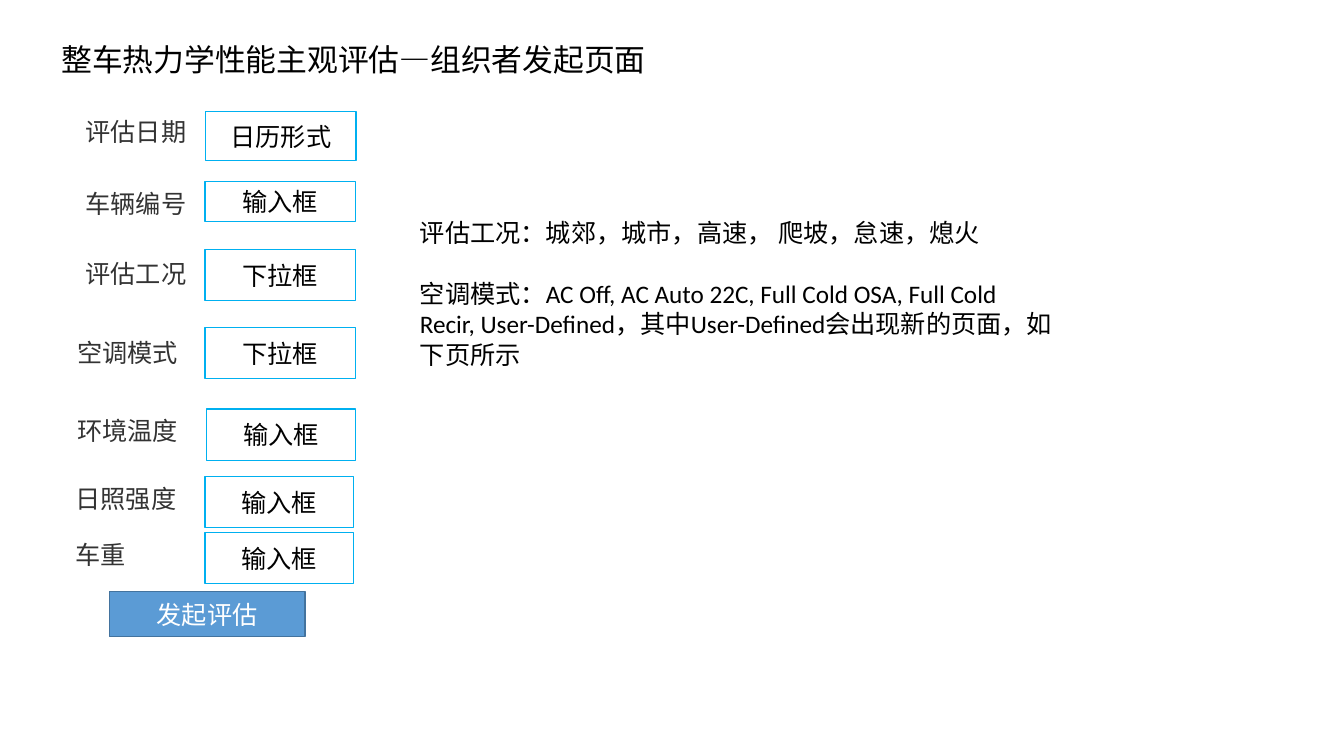
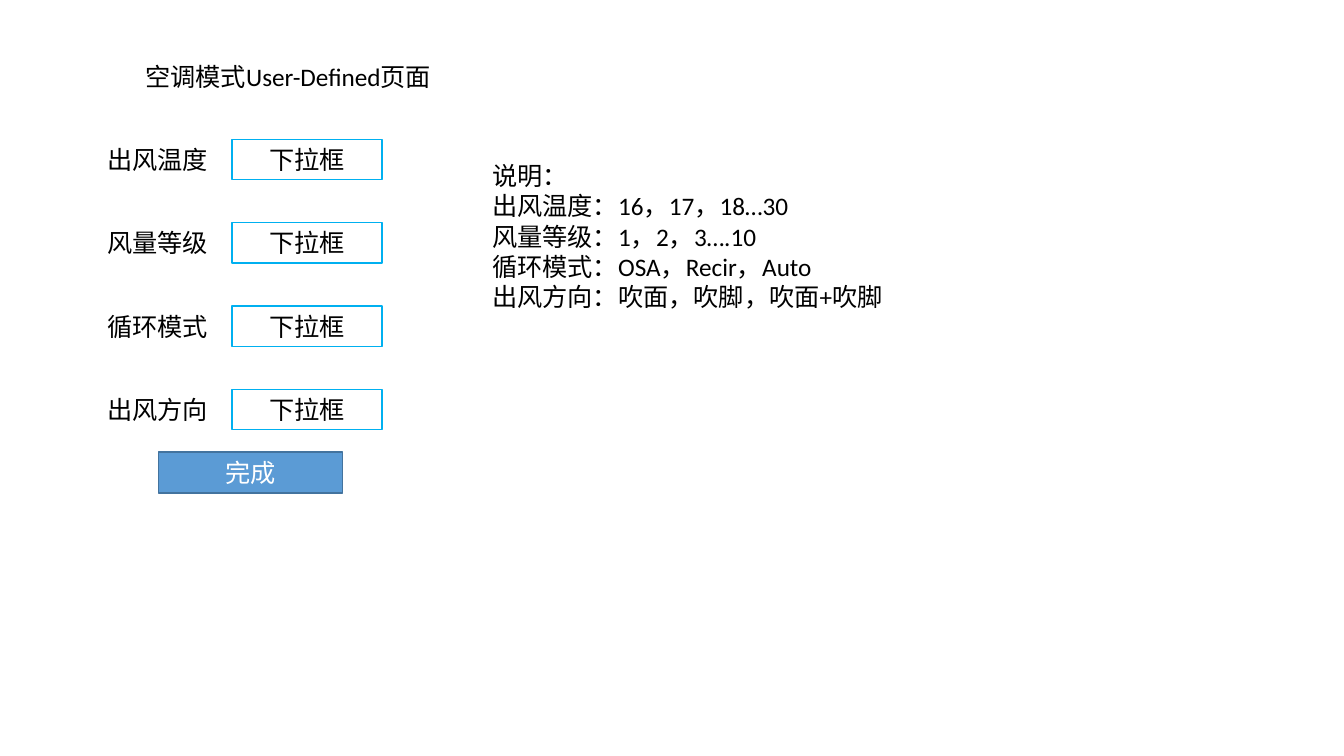
from pptx import Presentation
from pptx.dml.color import RGBColor
from pptx.enum.shapes import MSO_SHAPE
from pptx.enum.text import MSO_ANCHOR, MSO_AUTO_SIZE, PP_ALIGN
from pptx.util import Inches, Pt

RECTANGLE = MSO_SHAPE.RECTANGLE
TOP, MIDDLE = MSO_ANCHOR.TOP, MSO_ANCHOR.MIDDLE
LEFT, CENTER = PP_ALIGN.LEFT, PP_ALIGN.CENTER
NO_AUTOFIT = MSO_AUTO_SIZE.NONE

BLACK = RGBColor(0x00, 0x00, 0x00)
WHITE = RGBColor(0xFF, 0xFF, 0xFF)
GRAY = RGBColor(0x33, 0x33, 0x33)
CYAN = RGBColor(0x00, 0xB0, 0xF0)
BLUE = RGBColor(0x5B, 0x9B, 0xD5)
DARK_BLUE = RGBColor(0x43, 0x73, 0x9E)

BODY_FONT = "Calibri"
FORM_FONT = "Roboto"
BODY_SIZE = 18
COLUMNS, ROWS = 160, 90
TITLE_ONLY = 5
LABEL_HEIGHT = 4.8


class FormDeck:
    def __init__(self):
        self.presentation = Presentation()
        self.presentation.slide_width = Inches(13.33)
        self.presentation.slide_height = Inches(7.5)
        self.slide = None

    def area(self, left, top, width, height):
        column = self.presentation.slide_width / COLUMNS
        row = self.presentation.slide_height / ROWS
        return (round(left * column), round(top * row),
                round(width * column), round(height * row))

    def set_text(self, shape, lines, color=BLACK, font=BODY_FONT, size=BODY_SIZE,
                 align=LEFT, anchor=TOP, wrap=True, gap=0):
        frame = shape.text_frame
        frame.auto_size = NO_AUTOFIT
        frame.word_wrap = wrap
        frame.vertical_anchor = anchor
        for index, line in enumerate(lines):
            paragraph = frame.add_paragraph() if index else frame.paragraphs[0]
            paragraph.alignment = align
            paragraph.space_before = Pt(gap if index else 0)
            run = paragraph.add_run()
            run.text = line
            run.font.name = font
            run.font.size = Pt(size)
            run.font.color.rgb = color

    def start_slide(self, title, area, size=BODY_SIZE):
        layout = self.presentation.slide_layouts[TITLE_ONLY]
        self.slide = self.presentation.slides.add_slide(layout)
        shape = self.slide.shapes.title
        shape.left, shape.top, shape.width, shape.height = self.area(*area)
        self.set_text(shape, [title], size=size)

    def text(self, lines, area, **style):
        self.set_text(self.slide.shapes.add_textbox(*self.area(*area)), lines, **style)

    def label(self, text, left, top, **style):
        width = 2.4 + 3 * len(text)
        self.text([text], (left, top, width, LABEL_HEIGHT), wrap=False, **style)

    def box(self, text, area, line=CYAN, fill=None, color=BLACK):
        shape = self.slide.shapes.add_shape(RECTANGLE, *self.area(*area))
        shape.shadow.inherit = False
        if fill is None:
            shape.fill.background()
        else:
            shape.fill.solid()
            shape.fill.fore_color.rgb = fill
        shape.line.color.rgb = line
        shape.line.width = Pt(1)
        self.set_text(shape, [text], color=color, align=CENTER, anchor=MIDDLE)

    def button(self, text, area):
        self.box(text, area, line=DARK_BLUE, fill=BLUE, color=WHITE)


def build_organizer_slide(deck):
    deck.start_slide("整车热力学性能主观评估—组织者发起页面", (6.1, 4.3, 74, 5.6), size=22)
    fields = [
        ("评估日期", 9, 13.3, "日历形式", (24.5, 13.3, 17.9, 5.8)),
        ("车辆编号", 9, 21.8, "输入框", (24.4, 21.6, 17.9, 4.8)),
        ("评估工况", 9, 30.2, "下拉框", (24.4, 29.7, 17.9, 6.1)),
        ("空调模式", 8, 39.6, "下拉框", (24.4, 39, 17.9, 6.1)),
        ("环境温度", 8, 48.9, "输入框", (24.6, 48.7, 17.7, 6.1)),
        ("日照强度", 7.8, 56.9, "输入框", (24.4, 56.7, 17.7, 6.1)),
        ("车重", 7.8, 63.6, "输入框", (24.4, 63.4, 17.7, 6.1)),
    ]
    for name, left, top, control, area in fields:
        deck.label(name, left, top, color=GRAY, font=FORM_FONT)
        deck.box(control, area)
    deck.button("发起评估", (13, 70.4, 23.3, 5.4))
    deck.text([
        "评估工况：城郊，城市，高速， 爬坡，怠速，熄火",
        "空调模式：AC Off, AC Auto 22C, Full Cold OSA, Full Cold Recir, "
        "User-Defined，其中User-Defined会出现新的页面，如下页所示",
    ], (48.8, 25.3, 78, 19.4), gap=22)


def build_user_defined_slide(deck):
    deck.start_slide("空调模式User-Defined页面", (16.1, 6.7, 36.8, LABEL_HEIGHT))
    first_top, pitch = 16.6, 9.92
    for index, name in enumerate(["出风温度", "风量等级", "循环模式", "出风方向"]):
        top = first_top + index * pitch
        deck.label(name, 11.6, top)
        deck.box("下拉框", (27.6, top, 17.9, LABEL_HEIGHT))
    deck.button("完成", (18.9, 53.8, 21.9, 4.9))
    deck.text([
        "说明：",
        "出风温度：16，17，18…30",
        "风量等级：1，2，3….10",
        "循环模式：OSA，Recir，Auto",
        "出风方向：吹面，吹脚，吹面+吹脚",
    ], (57.4, 18.5, 71.6, 19.4))


def main():
    deck = FormDeck()
    build_organizer_slide(deck)
    build_user_defined_slide(deck)
    deck.presentation.save("out.pptx")


if __name__ == "__main__":
    main()
